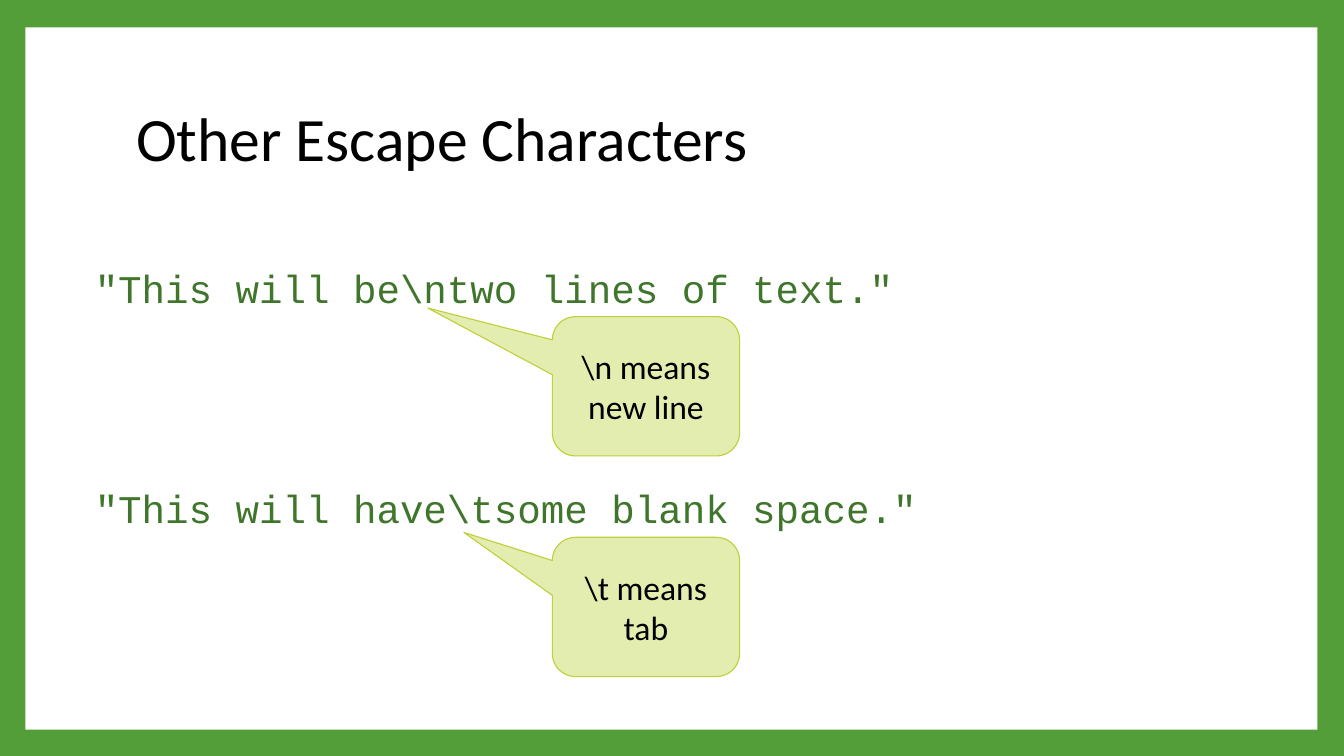
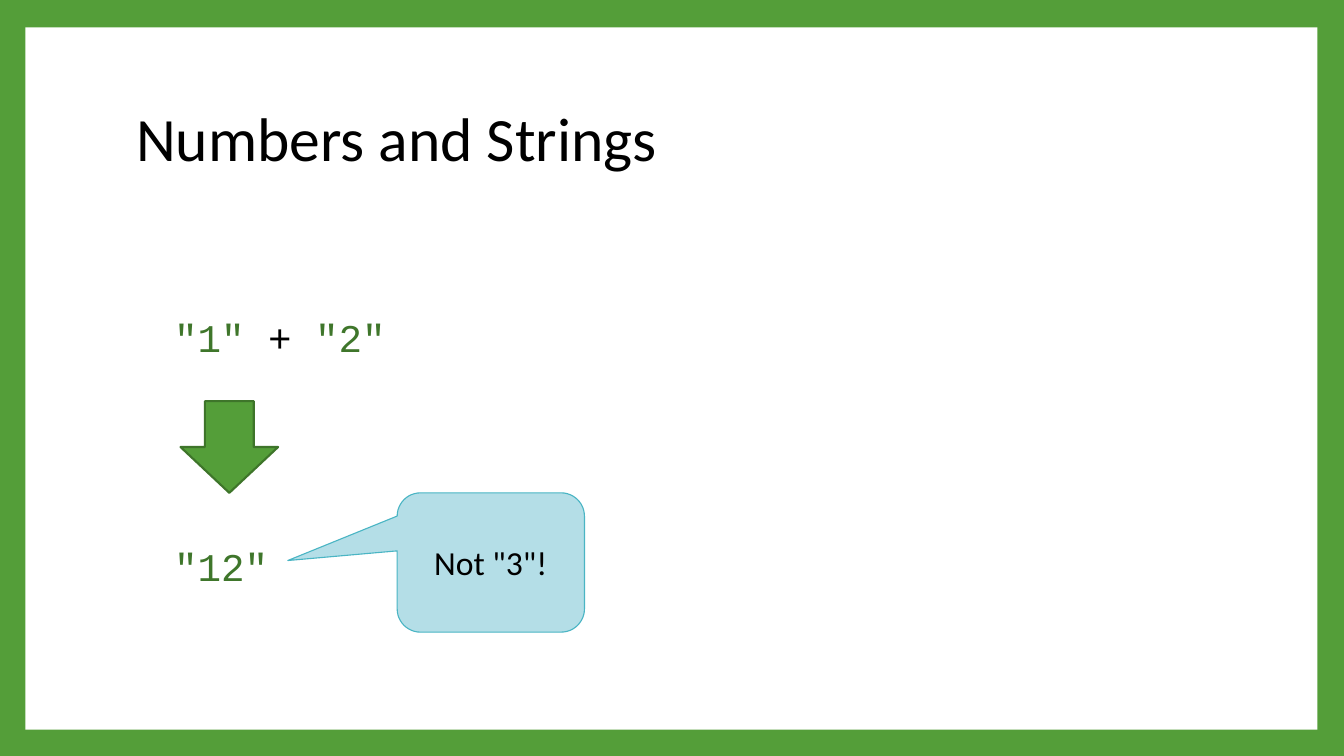
from pptx import Presentation
from pptx.dml.color import RGBColor
from pptx.enum.shapes import MSO_SHAPE
from pptx.enum.text import MSO_ANCHOR, PP_ALIGN
from pptx.util import Cm, Pt

RECT = MSO_SHAPE.RECTANGLE
CALLOUT = MSO_SHAPE.ROUNDED_RECTANGULAR_CALLOUT
DOWN_ARROW = MSO_SHAPE.DOWN_ARROW
MIDDLE, TOP = MSO_ANCHOR.MIDDLE, MSO_ANCHOR.TOP
LEFT, CENTER = PP_ALIGN.LEFT, PP_ALIGN.CENTER

COLORS = {
    "green": "549E39", "arrow_line": "3E752A", "code": "3F762B",
    "white": "FFFFFF", "black": "000000",
    "lime": "E4EDB0", "lime_line": "C0CF3A",
    "aqua": "B4DEE7", "aqua_line": "4AB5C4",
}
FONTS = {
    "title": {"name": "Calibri", "size": Pt(44)},
    "code": {"name": "Courier New", "size": Pt(28)},
    "callout": {"name": "Calibri", "size": Pt(24)},
}
SLIDE_W, SLIDE_H = 33.87, 19.05
CODE_H = 1.45
CALLOUT_W, CALLOUT_H = 4.72, 3.51


def color(name):
    return RGBColor.from_string(COLORS[name])


def box_cm(*box):
    return [Cm(v) for v in box]


def write(sp, runs, style, anchor=TOP, align=LEFT, spacing=None):
    """Fill a shape with one paragraph of (text, colour name) runs."""
    tf = sp.text_frame
    tf.word_wrap = True
    tf.vertical_anchor = anchor
    p = tf.paragraphs[0]
    p.alignment = align
    p.line_spacing = spacing
    for text, color_name in runs:
        r = p.add_run()
        r.text = text
        for key, value in FONTS[style].items():
            setattr(r.font, key, value)
        r.font.color.rgb = color(color_name)


def add_block(s, kind, box, fill, line=None, weight=0.79):
    sp = s.shapes.add_shape(kind, *box_cm(*box))
    sp.shadow.inherit = False
    sp.fill.solid()
    sp.fill.fore_color.rgb = color(fill)
    if line:
        sp.line.color.rgb = color(line)
        sp.line.width = Pt(weight)
    else:
        sp.line.fill.background()
    return sp


def add_framed_slide(prs, title):
    s = prs.slides.add_slide(prs.slide_layouts[6])
    s.background.fill.solid()
    s.background.fill.fore_color.rgb = color("green")
    add_block(s, RECT, (0.64, 0.69, 32.56, 17.7), "white")
    sp = s.shapes.add_textbox(*box_cm(3.18, 1.7, 27.43, 3.76))
    write(sp, [(title, "black")], "title", MIDDLE, spacing=0.9)
    return s


def add_code(s, left, top, width, runs):
    sp = s.shapes.add_textbox(*box_cm(left, top, width, CODE_H))
    sp.text_frame.margin_left = Cm(0.38)
    write(sp, runs, "code")


def add_callout(s, left, top, text, tip, palette):
    """Tip is the pointer's offset from the centre, in box widths and heights."""
    sp = add_block(s, CALLOUT, (left, top, CALLOUT_W, CALLOUT_H),
                   palette, palette + "_line")
    for i, value in enumerate((*tip, 0.167)):
        sp.adjustments[i] = value
    write(sp, [(text, "black")], "callout", MIDDLE, CENTER)


def add_escape_example(s, left, top, code, meaning, tip):
    add_code(s, left, top, 22, [(code, "code")])
    add_callout(s, left + 11.91, top + CODE_H, meaning, tip, "lime")


def add_concatenation(s, left, top):
    add_code(s, left, top, 6.5,
             [('"1"', "code"), (" + ", "black"), ('"2"', "code")])
    add_block(s, DOWN_ARROW, (left + 0.54, top + 2.34, 2.46, 2.31),
              "green", "arrow_line", 1.5)
    add_code(s, left, top + 5.77, 3.5, [('"12"', "code")])
    add_callout(s, left + 6, top + 4.65, 'Not "3"!', (-1.084, -0.014), "aqua")


def main():
    prs = Presentation()
    prs.slide_width, prs.slide_height = box_cm(SLIDE_W, SLIDE_H)

    s = add_framed_slide(prs, "Other Escape Characters")
    examples = [
        (r'"This will be\ntwo lines of text."', r"\n means new line",
         (-1.165, -0.562)),
        (r'"This will have\tsome blank space."', r"\t means tab",
         (-0.972, -0.535)),
    ]
    for i, example in enumerate(examples):
        add_escape_example(s, 2.01, 6.53 + i * 5.56, *example)

    s = add_framed_slide(prs, "Numbers and Strings")
    add_concatenation(s, 4.01, 7.77)

    prs.save("out.pptx")


if __name__ == "__main__":
    main()
